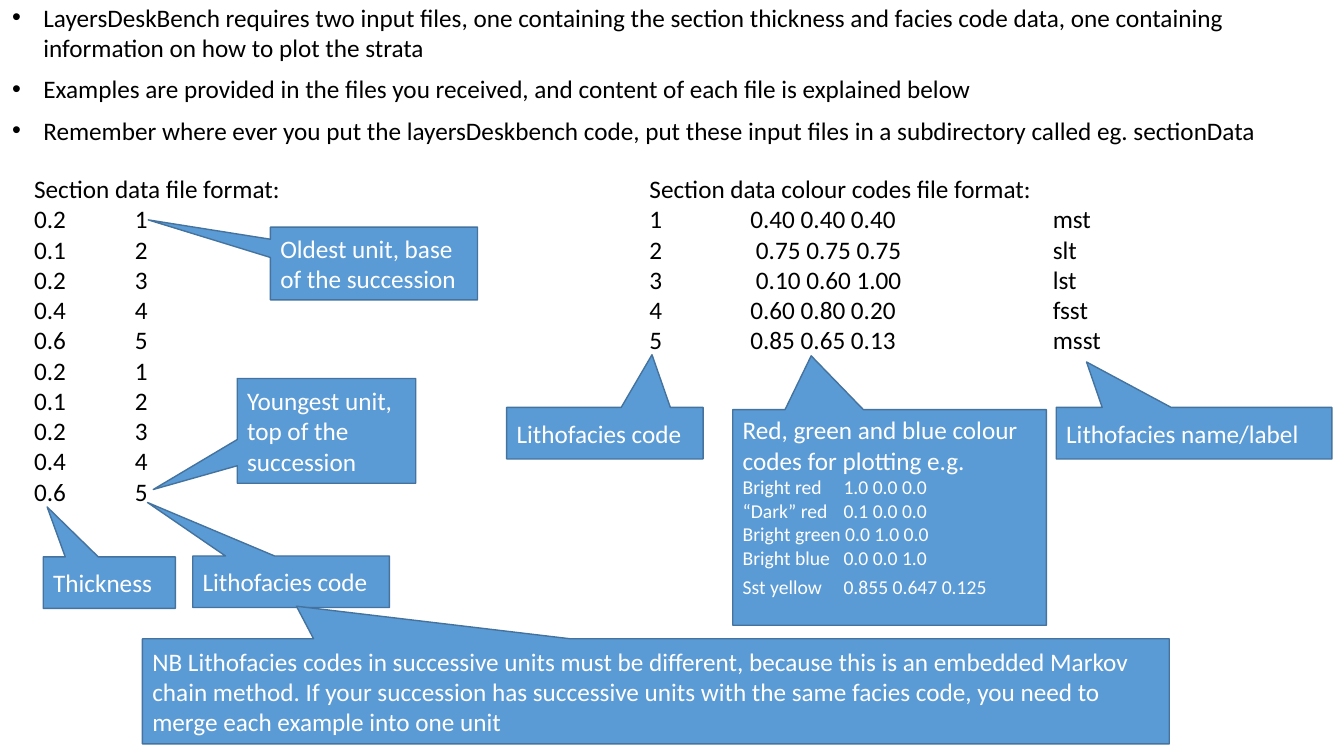
from dataclasses import dataclass

from lxml import etree
from pptx import Presentation
from pptx.dml.color import RGBColor
from pptx.enum.shapes import MSO_SHAPE
from pptx.enum.text import MSO_ANCHOR, MSO_AUTO_SIZE, PP_ALIGN
from pptx.oxml.ns import qn
from pptx.util import Inches, Pt

CALLOUT = MSO_SHAPE.RECTANGULAR_CALLOUT
TOP, MIDDLE = MSO_ANCHOR.TOP, MSO_ANCHOR.MIDDLE
LEFT = PP_ALIGN.LEFT
FIXED = MSO_AUTO_SIZE.NONE


@dataclass(frozen=True)
class Theme:
    font: str = "Calibri"
    size: int = 18
    small: int = 14
    ink: str = "000000"
    light: str = "FFFFFF"
    fill: str = "5B9BD5"
    edge: str = "43739E"


@dataclass(frozen=True)
class Box:
    x: float
    y: float
    w: float
    h: float

    def inner(self, x, y, w, h):
        """Inner box, given in percent of this box."""
        return Box(self.x + self.w * x / 100, self.y + self.h * y / 100,
                   self.w * w / 100, self.h * h / 100)

    def place(self):
        return [Inches(v) for v in (self.x, self.y, self.w, self.h)]


THEME = Theme()
PAGE = Box(0, 0, 13.33, 7.5)

POINTS = [
    "LayersDeskBench requires two input files, one containing the section "
    "thickness and facies code data, one containing information on how to plot the strata",
    "Examples are provided in the files you received, and content of each file "
    "is explained below",
    "Remember where ever you put the layersDeskbench code, put these input files "
    "in a subdirectory called eg. sectionData",
]
DEPTHS = ["0.2", "0.1", "0.2", "0.4", "0.6"]
COLOURS = [
    ("0.40 0.40 0.40", "mst"),
    (" 0.75 0.75 0.75", "slt"),
    (" 0.10 0.60 1.00", "lst"),
    ("0.60 0.80 0.20", "fsst"),
    ("0.85 0.65 0.13", "msst"),
]
SAMPLES = [
    "Bright red\t1.0 0.0 0.0",
    "“Dark” red\t0.1 0.0 0.0",
    "Bright green 0.0 1.0 0.0",
    "Bright blue\t0.0 0.0 1.0",
    "Sst yellow\t0.855 0.647 0.125",
]
NOTE = ("NB Lithofacies codes in successive units must be different, because this is an "
        "embedded Markov chain method. If your succession has successive units with the "
        "same facies code, you need to merge each example into one unit")


def write(frame, text, size=THEME.size, color=THEME.ink, after=0, hang=0,
          tabs=(), anchor=TOP, more=False):
    """Write one paragraph per line; more=True adds to the text present."""
    frame.word_wrap = True
    frame.auto_size = FIXED
    frame.vertical_anchor = anchor
    for i, line in enumerate(text.split("\n")):
        para = frame.add_paragraph() if i or more else frame.paragraphs[0]
        para.alignment = LEFT
        para.space_before, para.space_after = Pt(0), Pt(after)
        run = para.add_run()
        run.text = line
        run.font.name, run.font.size = THEME.font, Pt(size)
        run.font.color.rgb = RGBColor.from_string(color)
        props = para._p.get_or_add_pPr()
        if hang:
            props.set("marL", str(Inches(hang)))
            props.set("indent", str(-Inches(hang)))
        if tabs:
            stops = etree.SubElement(props, qn("a:tabLst"))
            for tab in tabs:
                etree.SubElement(stops, qn("a:tab"), pos=str(Inches(tab)), algn="l")


def label(slide, box, text, tip, anchor=MIDDLE):
    """Callout whose tip is offset from its centre in shares of its size."""
    shape = slide.shapes.add_shape(CALLOUT, *box.place())
    shape.shadow.inherit = False
    shape.fill.solid()
    shape.fill.fore_color.rgb = RGBColor.from_string(THEME.fill)
    shape.line.color.rgb = RGBColor.from_string(THEME.edge)
    shape.line.width = Pt(1)
    for i, share in enumerate(tip):
        shape.adjustments[i] = share
    write(shape.text_frame, text, color=THEME.light, anchor=anchor)
    return shape.text_frame


def listing(slide, box, head, rows, tabs):
    """Heading with tabbed rows below it."""
    frame = slide.shapes.add_textbox(*box.place()).text_frame
    write(frame, head)
    write(frame, "\n".join("\t".join(row) for row in rows), tabs=tabs, more=True)


def intro(slide, box):
    """Bulleted list at the top."""
    body = slide.placeholders[1]
    body.left, body.top, body.width, body.height = box.place()
    write(body.text_frame, "\n".join(POINTS), after=8, hang=0.31)


def section(slide, box):
    """Section data file and its labels."""
    rows = [(depth, str(i % 5 + 1)) for i, depth in enumerate(DEPTHS * 2)]
    listing(slide, box.inner(0, 0, 61.1, 78), "Section data file format:", rows, (1,))
    for spot, text, tip in [
        ((37.1, 87.3, 43.3, 11.6), "Lithofacies code", (-0.73, -1.54)),
        ((4.2, 87.5, 29.1, 11.6), "Thickness", (-0.47, -1.47)),
        ((54.2, 13.2, 45.6, 16.4), "Oldest unit, base of the succession", (-1.09, -0.6)),
        ((46.9, 47.3, 39.3, 23.6), "Youngest unit, top of the succession", (-0.97, 0.56)),
    ]:
        label(slide, box.inner(*spot), text, tip)


def colours(slide, box):
    """Colour code file and its labels."""
    rows = [(str(i), *row) for i, row in enumerate(COLOURS, 1)]
    listing(slide, box.inner(16.1, 0, 81.5, 42.4),
            "Section data colour codes file format:", rows, (1, 4))
    label(slide, box.inner(0, 52.3, 23.8, 11.3), "Lithofacies code", (0.24, -1.52))
    label(slide, box.inner(66.6, 52.3, 33.4, 11.3), "Lithofacies name/label", (-0.39, -1.38))
    frame = label(slide, box.inner(27.4, 52.8, 38, 47.2),
                  "Red, green and blue colour codes for plotting e.g.", (-0.25, -0.75), TOP)
    write(frame, "\n".join(SAMPLES), size=THEME.small, color=THEME.light,
          tabs=(1,), more=True)
    frame.paragraphs[-1].space_before = Pt(4)


def main():
    deck = Presentation()
    deck.slide_width, deck.slide_height = Inches(PAGE.w), Inches(PAGE.h)
    slide = deck.slides.add_slide(deck.slide_layouts[1])
    title = slide.shapes.title.element
    title.getparent().remove(title)

    intro(slide, PAGE.inner(0.15, -0.4, 99.9, 22.7))
    section(slide, PAGE.inner(1.8, 22.3, 33.8, 58.7))
    colours(slide, PAGE.inner(37.7, 22.3, 61.4, 60.4))
    label(slide, PAGE.inner(10.6, 84.5, 76.4, 13.9), NOTE, (-0.35, -0.81))
    deck.save("out.pptx")


if __name__ == "__main__":
    main()
